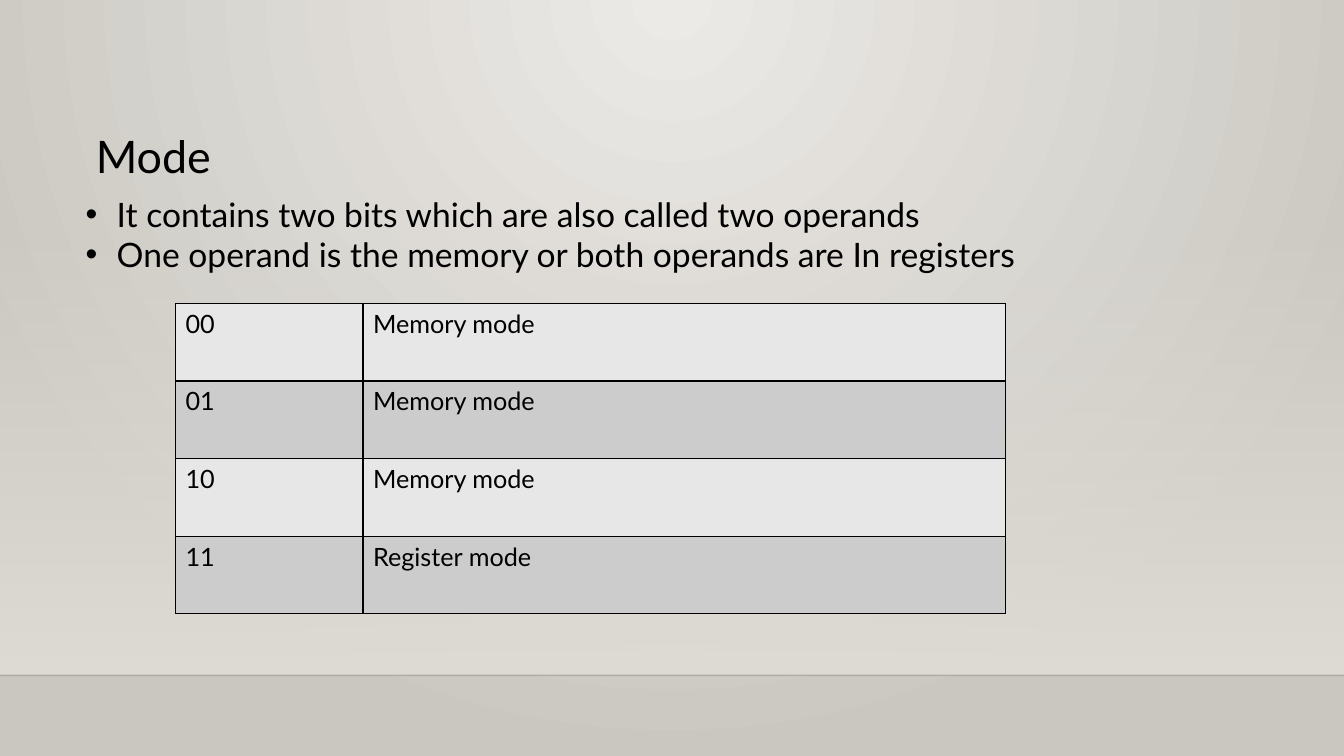
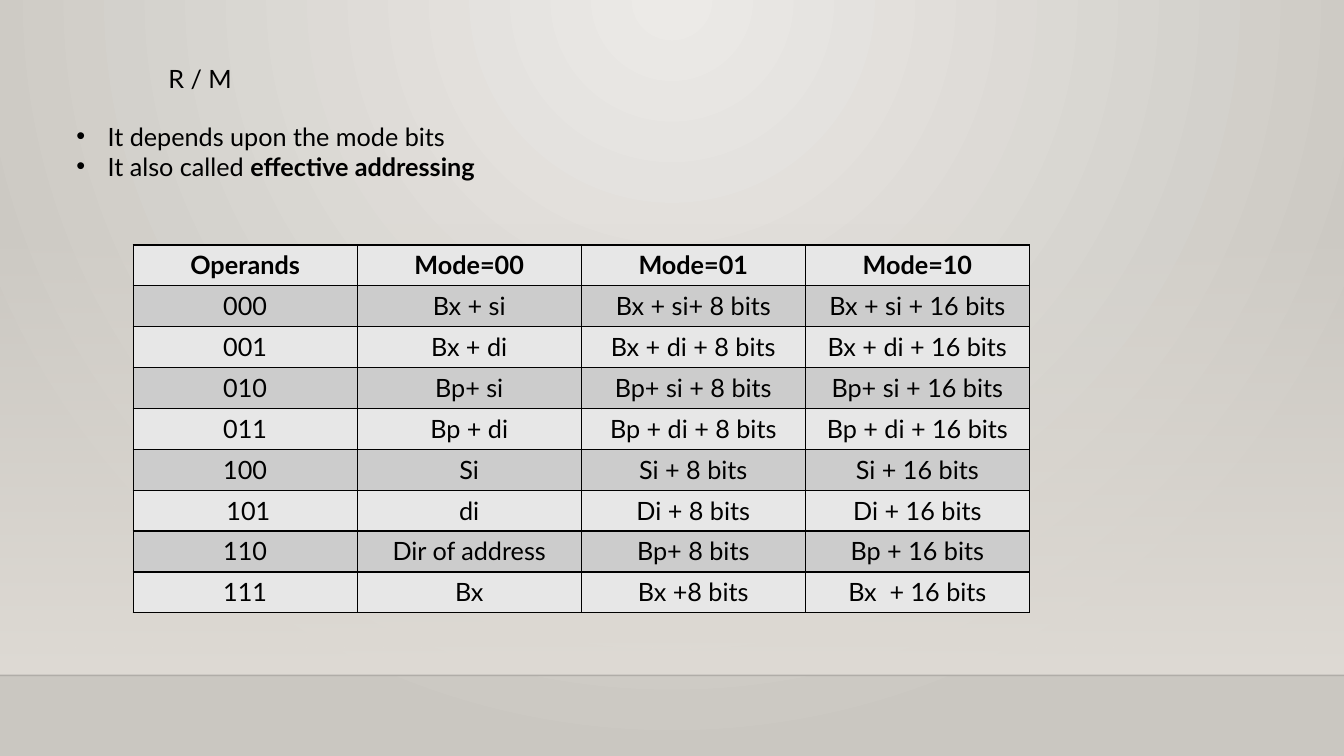
from lxml import etree
from pptx import Presentation
from pptx.dml.color import RGBColor
from pptx.enum.shapes import MSO_CONNECTOR, MSO_SHAPE
from pptx.enum.text import MSO_ANCHOR, MSO_AUTO_SIZE, PP_ALIGN
from pptx.oxml.ns import qn
from pptx.util import Inches, Pt

LEFT, CENTER = PP_ALIGN.LEFT, PP_ALIGN.CENTER
TOP, NO_FIT = MSO_ANCHOR.TOP, MSO_AUTO_SIZE.NONE
RECT, STRAIGHT = MSO_SHAPE.RECTANGLE, MSO_CONNECTOR.STRAIGHT

FONT = "Lato"
BLACK = RGBColor(0x00, 0x00, 0x00)
GLOW = RGBColor(0xEC, 0xEA, 0xE7)
STONE = RGBColor(0xCA, 0xC7, 0xC1)
SAND = RGBColor(0xDF, 0xDB, 0xD5)
PALE = RGBColor(0xE7, 0xE7, 0xE7)
GREY = RGBColor(0xCC, 0xCC, 0xCC)

WIDTH, HEIGHT = 13.33, 7.5
WALL, FLOOR = 2.21, 6.7
INDENT = 0.31

MODES = [
    ["00", "Memory mode"],
    ["01", "Memory mode"],
    ["10", "Memory mode"],
    ["11", "Register mode"],
]
OPERANDS = [
    ["Operands", "Mode=00", "Mode=01", "Mode=10"],
    ["000", "Bx + si", "Bx + si+ 8 bits", "Bx + si + 16 bits"],
    ["001", "Bx + di", "Bx + di + 8 bits", "Bx + di + 16 bits"],
    ["010", "Bp+ si", "Bp+ si + 8 bits", "Bp+ si + 16 bits"],
    ["011", "Bp + di", "Bp + di + 8 bits", "Bp + di + 16 bits"],
    ["100", "Si", "Si + 8 bits", "Si + 16 bits"],
    [" 101", "di", "Di + 8 bits", "Di + 16 bits"],
    ["110", "Dir of address", "Bp+ 8 bits", "Bp + 16 bits"],
    ["111", "Bx", "Bx +8 bits", "Bx  + 16 bits"],
]


def add_xml(parent, tag, **attrs):
    """Append a child element with the given attributes."""
    return etree.SubElement(parent, qn(tag), attrs)


def blend(fill, first, last):
    """Turn a fill into a gradient between two colours."""
    fill.gradient()
    for stop, color in zip(fill.gradient_stops, (first, last)):
        stop.color.rgb = color


def fade(shape, share):
    """Set the opacity of the first colour in a shape, in percent."""
    color = next(shape._element.spPr.iter(qn("a:srgbClr")))
    add_xml(color, "a:alpha", val=str(share * 1000))


def paint(master):
    """Give the master a glow that spreads from the top centre."""
    blend(master.background.fill, GLOW, STONE)
    grad = next(master._element.iter(qn("a:gradFill")))
    grad.remove(grad.find(qn("a:lin")))
    glow = add_xml(grad, "a:path", path="circle")
    add_xml(glow, "a:fillToRect", l="43000", t="0", r="43000", b="100000")


def backdrop(slide):
    """Draw the fading wall and the floor line."""
    wall = slide.shapes.add_shape(RECT, 0, Inches(WALL), Inches(WIDTH),
                                  Inches(FLOOR - WALL))
    wall.shadow.inherit = False
    wall.line.fill.background()
    blend(wall.fill, SAND, SAND)
    wall.fill.gradient_angle = 270
    fade(wall, 0)

    floor = slide.shapes.add_connector(STRAIGHT, 0, Inches(FLOOR),
                                       Inches(WIDTH), Inches(FLOOR))
    floor.line.color.rgb = BLACK
    floor.line.width = Pt(1)
    fade(floor, 20)
    add_xml(floor._element.spPr, "a:effectLst")


def style(para, size, align=LEFT, bold=False):
    """Set the shared type on a paragraph."""
    para.alignment = align
    para.line_spacing = 1.0
    para.space_before = Pt(0)
    font = para.font
    font.name, font.size, font.bold = FONT, Pt(size), bold
    font.color.rgb = BLACK


def heading(slide, box, text, size):
    """Place and format the title."""
    title = slide.shapes.title
    title.left, title.top, title.width, title.height = map(Inches, box)
    frame = title.text_frame
    frame.text = text
    frame.auto_size = NO_FIT
    frame.vertical_anchor = TOP
    style(frame.paragraphs[0], size)


def bullets(slide, box, items, size):
    """Write a bullet list; each item is a plain part and a bold part."""
    frame = slide.shapes.add_textbox(*map(Inches, box)).text_frame
    frame.word_wrap = True
    for i, (plain, strong) in enumerate(items):
        para = frame.add_paragraph() if i else frame.paragraphs[0]
        para.add_run().text = plain
        if strong:
            run = para.add_run()
            run.text = strong
            run.font.bold = True
        style(para, size)
        props = para._p.get_or_add_pPr()
        props.set("marL", str(Inches(INDENT)))
        props.set("indent", str(-Inches(INDENT)))
        add_xml(props, "a:buFont", typeface="Arial")
        add_xml(props, "a:buChar", char="•")
        props.append(props.find(qn("a:defRPr")))


def border(cell):
    """Draw a thin black line on every side of a cell."""
    props = cell._tc.get_or_add_tcPr()
    for side in "LRTB":
        line = add_xml(props, "a:ln" + side, w=str(Pt(1)))
        fill = add_xml(line, "a:solidFill")
        add_xml(fill, "a:srgbClr", val=str(BLACK))


def grid(slide, box, rows, widths, align=LEFT, header=False):
    """Build a striped table with equal rows in the box."""
    table = slide.shapes.add_table(len(rows), len(widths),
                                   *map(Inches, box)).table
    table.first_row = table.horz_banding = False
    for col, width in zip(table.columns, widths):
        col.width = Inches(width)
    for r, texts in enumerate(rows):
        table.rows[r].height = Inches(box[3] / len(rows))
        for c, text in enumerate(texts):
            cell = table.cell(r, c)
            cell.text = text
            style(cell.text_frame.paragraphs[0], 18, align,
                  header and r == 0)
            border(cell)
            cell.fill.solid()
            cell.fill.fore_color.rgb = GREY if r % 2 else PALE


def start(deck):
    """Add a title-only slide with the shared backdrop."""
    slide = deck.slides.add_slide(deck.slide_layouts[5])
    backdrop(slide)
    return slide


def mode(deck):
    """Build the slide on the mode bits."""
    slide = start(deck)
    heading(slide, (0.85, 1.23, 2.75, 0.64), "Mode", 32)
    bullets(slide, (0.75, 1.87, 11.03, 1.31), [
        ("It contains two bits which are also called two operands", ""),
        ("One operand is the memory or both operands are In registers", ""),
    ], 24)
    grid(slide, (1.74, 3.01, 8.23, 3.08), MODES, (1.86, 6.37))


def address(deck):
    """Build the slide on effective addressing."""
    slide = start(deck)
    heading(slide, (1.57, 0.58, 8.64, 0.4), "R / M", 18)
    bullets(slide, (0.66, 1.15, 9.23, 0.71), [
        ("It depends upon the mode bits", ""),
        ("It also called ", "effective addressing"),
    ], 18)
    grid(slide, (1.32, 2.43, 8.89, 3.65), OPERANDS, [8.89 / 4] * 4,
         CENTER, header=True)


def main():
    """Build and save the deck."""
    deck = Presentation()
    deck.slide_width, deck.slide_height = Inches(WIDTH), Inches(HEIGHT)
    paint(deck.slide_master)
    mode(deck)
    address(deck)
    deck.save("out.pptx")


main()
